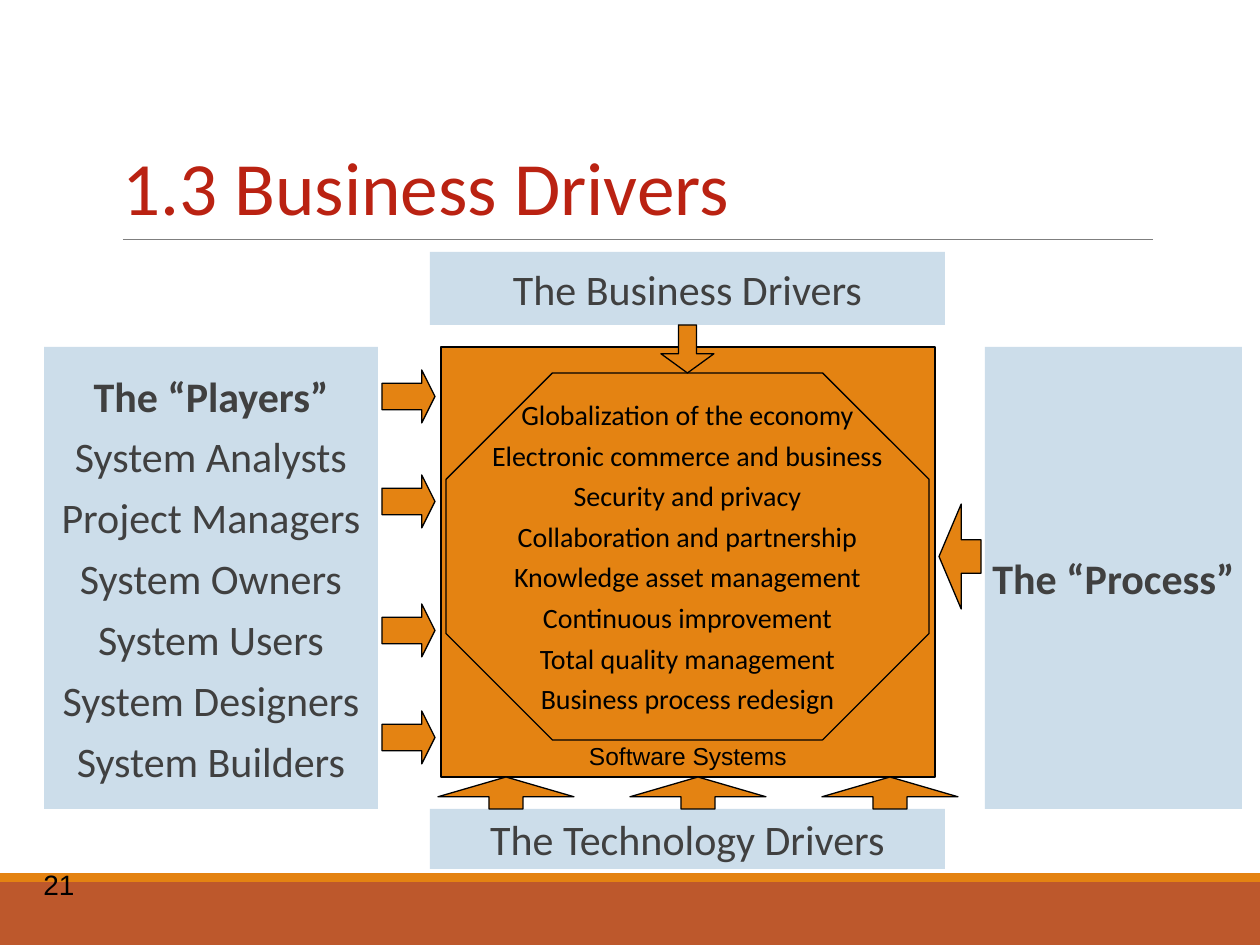
from dataclasses import dataclass
from lxml.etree import SubElement
from pptx import Presentation
from pptx.dml.color import RGBColor
from pptx.enum.shapes import MSO_CONNECTOR, MSO_SHAPE
from pptx.enum.text import MSO_ANCHOR, PP_ALIGN
from pptx.oxml.ns import qn
from pptx.util import Emu, Pt


@dataclass(frozen=True)
class Theme:
    brick: str = "BD582C"
    orange: str = "E48312"
    pale: str = "CCDDEA"
    red: str = "BA2212"
    gray: str = "404040"
    rule: str = "7F7F7F"
    black: str = "000000"
    sans: str = "Calibri"
    plain: str = "Arial"
    title: int = 43
    head: int = 24
    body: int = 16
    note: int = 14
    edge: float = 0.75
    thin: float = 0.5


THEME = Theme()
SCALE = 914400 / 126


def px(count):
    return Emu(round(count * SCALE))


def color(code):
    return RGBColor.from_string(code)


def add_shape(slide, kind, box, fill, line=None, adjust=()):
    shape = slide.shapes.add_shape(kind, *map(px, box))
    shape.shadow.inherit = False
    shape.fill.solid()
    shape.fill.fore_color.rgb = color(fill)
    if line:
        shape.line.color.rgb = color(line)
        shape.line.width = Pt(THEME.edge)
    else:
        shape.line.fill.background()
    for index, value in enumerate(adjust):
        shape.adjustments[index] = value
    return shape


def add_text(shape, lines, size, ink, font=THEME.sans, gap=0, bold=False,
             align=PP_ALIGN.CENTER, anchor=MSO_ANCHOR.MIDDLE, wrap=False):
    frame = shape.text_frame
    frame.word_wrap = wrap
    frame.vertical_anchor = anchor
    for index, text in enumerate(lines):
        para = frame.add_paragraph() if index else frame.paragraphs[0]
        para.alignment = align
        if index:
            para.space_before = Pt(gap)
        run = para.add_run()
        run.text = text
        run.font.name = font
        run.font.size = Pt(size)
        run.font.bold = bold and index == 0
        run.font.color.rgb = color(ink)
    return frame


def add_label(slide, box, text, size, ink, font, anchor):
    shape = slide.shapes.add_textbox(*map(px, box))
    return add_text(shape, [text], size, ink, font, align=PP_ALIGN.LEFT,
                    anchor=anchor, wrap=True)


def add_panel(slide, box, lines, bold=False):
    panel = add_shape(slide, MSO_SHAPE.RECTANGLE, box, THEME.pale)
    add_text(panel, lines, THEME.head, THEME.gray, gap=6, bold=bold)


def add_arrow(slide, kind, box, adjust):
    add_shape(slide, kind, box, THEME.orange, THEME.black, adjust)


def add_rule(slide, left, right, top):
    rule = slide.shapes.add_connector(
        MSO_CONNECTOR.STRAIGHT, px(left), px(top), px(right), px(top))
    rule.line.color.rgb = color(THEME.rule)
    rule.line.width = Pt(THEME.thin)
    SubElement(rule._element.spPr, qn("a:effectLst"))


def add_frame(slide):
    add_shape(slide, MSO_SHAPE.RECTANGLE, (0, 882, 1260, 63), THEME.brick)
    add_shape(slide, MSO_SHAPE.RECTANGLE, (0, 873, 1260, 9), THEME.orange)
    add_rule(slide, 123, 1153, 239)
    add_label(slide, (31, 861, 105, 47), "21", THEME.body, THEME.black,
              THEME.plain, MSO_ANCHOR.TOP)
    title = add_label(slide, (110, 122, 1040, 115), "1.3 Business Drivers",
                      THEME.title, THEME.red, THEME.sans, MSO_ANCHOR.BOTTOM)
    title.paragraphs[0].line_spacing = 0.85


def add_panels(slide):
    add_panel(slide, (430, 252, 515, 73), ["The Business Drivers"])
    add_panel(slide, (44, 347, 334, 462), [
        "The “Players”", "System Analysts", "Project Managers",
        "System Owners", "System Users", "System Designers",
        "System Builders"], bold=True)
    add_panel(slide, (985, 347, 257, 462), ["The “Process”"], bold=True)
    add_panel(slide, (430, 809, 515, 60), ["The Technology Drivers"])


def add_core(slide):
    core = add_shape(slide, MSO_SHAPE.RECTANGLE, (441, 347, 494, 430),
                     THEME.orange, THEME.black)
    add_text(core, ["Software Systems"], THEME.note, THEME.black,
             THEME.plain, anchor=MSO_ANCHOR.BOTTOM)
    drivers = add_shape(slide, MSO_SHAPE.OCTAGON, (446, 373, 483, 367),
                        THEME.orange, THEME.black, (0.29,))
    add_text(drivers, [
        "Globalization of the economy", "Electronic commerce and business",
        "Security and privacy", "Collaboration and partnership",
        "Knowledge asset management", "Continuous improvement",
        "Total quality management", "Business process redesign"],
        THEME.body, THEME.black, gap=4)


def add_arrows(slide):
    for top in (370, 475, 604, 711):
        add_arrow(slide, MSO_SHAPE.RIGHT_ARROW, (382, top, 53, 53),
                  (0.5, 0.25))
    for step in range(3):
        add_arrow(slide, MSO_SHAPE.UP_ARROW,
                  (438 + 192 * step, 777, 136, 32), (0.25, 0.62))
    add_arrow(slide, MSO_SHAPE.LEFT_ARROW, (939, 504, 42, 105), (0.32, 0.53))
    add_arrow(slide, MSO_SHAPE.DOWN_ARROW, (661, 325, 53, 48), (0.34, 0.4))


def main():
    deck = Presentation()
    deck.slide_width, deck.slide_height = px(1260), px(945)
    slide = deck.slides.add_slide(deck.slide_layouts[6])
    add_frame(slide)
    add_panels(slide)
    add_core(slide)
    add_arrows(slide)
    deck.save("out.pptx")


if __name__ == "__main__":
    main()
